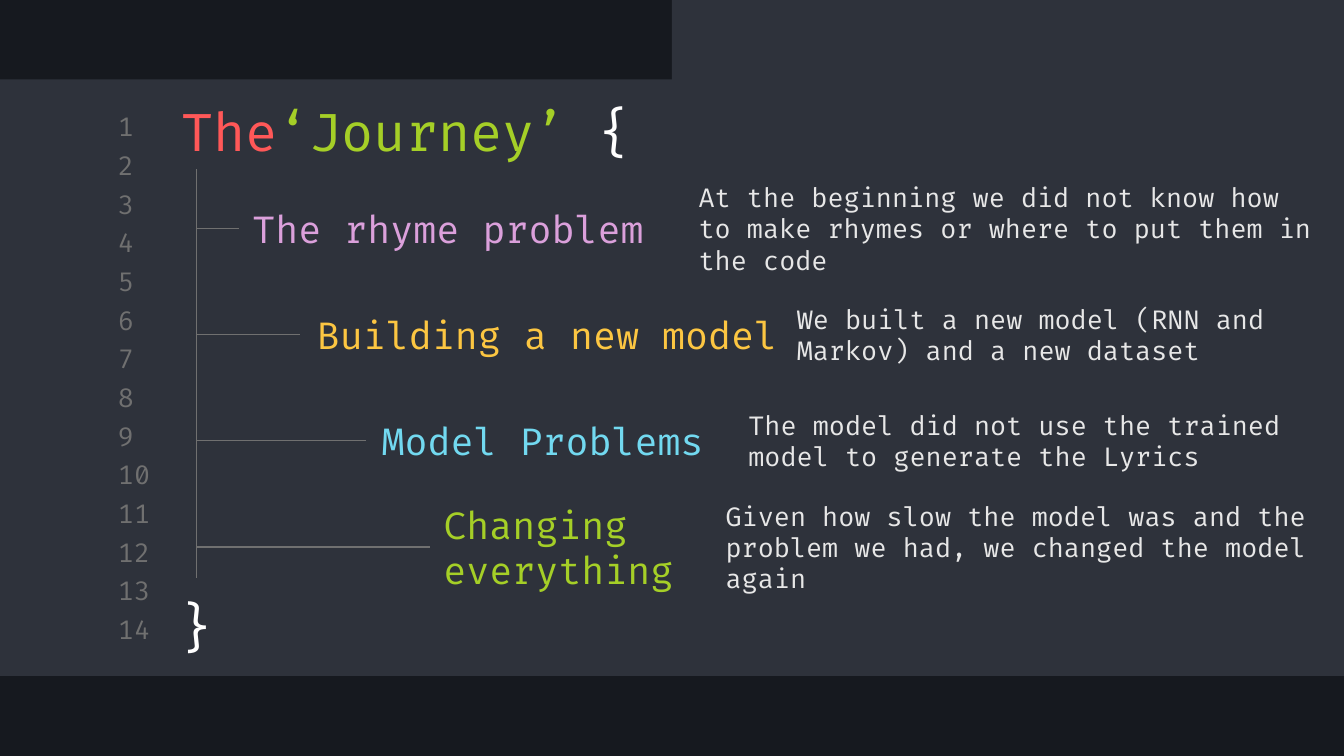
"""Build the 'Journey' code-style timeline slide."""
from lxml import etree
from pptx import Presentation
from pptx.dml.color import RGBColor
from pptx.enum import shapes, text as txt
from pptx.oxml import ns
from pptx.util import Inches, Pt

FONT = "Fira Code"
DARK, PANEL, GREY, PALE, WHITE = "16191F", "2E323B", "707070", "E7E7E7", "FFFFFF"
RED, GREEN, PINK, YELLOW, BLUE = "FF5858", "A5CF27", "DBA0DB", "FCC642", "72D9F0"

PANELS = [(0, 0.59, 10, 4.44), (5, 0, 5, 0.65)]
TITLE = [("The", RED), ("‘Journey’ ", GREEN), ("{", WHITE)]
STEPS = [
    ("The rhyme problem", PINK, 1.78, 3.64, 1.78,
     "At the beginning we did not know how to make rhymes or where to put them in the code", 5.1, 4.85),
    ("Building a new model", YELLOW, 2.26, 3.96, 2.23,
     "We built a new model (RNN and Markov) and a new dataset", 5.83, 4.35),
    ("Model Problems", BLUE, 2.74, 2.91, 2.72,
     "The model did not use the trained model to generate the Lyrics", 5.47, 4.35),
    ("Changing everything", GREEN, 3.2, 2.51, 3.2,
     "Given how slow the model was and the problem we had, we changed the model again", 5.3, 4.52),
]
LINE_COUNT, FIRST_LINE_TOP, LAST_LINE_TOP = 14, 0.82, 4.56
STEP_TOP, STEP_PITCH, STEP_HEIGHT = 1.38, 0.79, 0.64
TRUNK_X, TRUNK_TOP, TRUNK_BOTTOM = 1.46, 1.26, 4.3

deck = Presentation()
deck.slide_width, deck.slide_height = Inches(10), Inches(10 * 9 / 16)
slide = deck.slides.add_slide(deck.slide_layouts[6])


def rgb(color):
    return RGBColor.from_string(color)


def add_text(content, x, y, w, h, size=14, color=PALE, middle=True, align=txt.PP_ALIGN.LEFT):
    """Add a text box from a string or a list of (string, colour) runs."""
    frame = slide.shapes.add_textbox(*map(Inches, (x, y, w, h))).text_frame
    frame.word_wrap = True
    frame.margin_left = frame.margin_right = frame.margin_top = frame.margin_bottom = Inches(0.1)
    frame.vertical_anchor = txt.MSO_ANCHOR.MIDDLE if middle else txt.MSO_ANCHOR.TOP
    paragraph = frame.paragraphs[0]
    paragraph.alignment = align
    for words, tint in [(content, color)] if isinstance(content, str) else content:
        run = paragraph.add_run()
        run.text = words
        run.font.name, run.font.size = FONT, Pt(size)
        run.font.color.rgb = rgb(tint)


def add_line(x1, y1, x2, y2):
    """Add a thin grey straight line."""
    line = slide.shapes.add_connector(shapes.MSO_CONNECTOR.STRAIGHT, *map(Inches, (x1, y1, x2, y2)))
    line.line.color.rgb = rgb(GREY)
    line.line.width = Pt(0.75)
    etree.SubElement(line._element.spPr, ns.qn("a:effectLst"))


slide.background.fill.solid()
slide.background.fill.fore_color.rgb = rgb(DARK)

for box in PANELS:
    panel = slide.shapes.add_shape(shapes.MSO_SHAPE.RECTANGLE, *map(Inches, box))
    panel.shadow.inherit = False
    panel.fill.solid()
    panel.fill.fore_color.rgb = rgb(PANEL)
    panel.line.fill.background()

line_pitch = (LAST_LINE_TOP - FIRST_LINE_TOP) / (LINE_COUNT - 1)
for index in range(LINE_COUNT):
    add_text(str(index + 1), 0.78, FIRST_LINE_TOP + index * line_pitch, 0.47, 0.24, color=GREY)

add_text(TITLE, 1.25, 0.64, 7.97, 0.59, size=28, middle=False)
add_text("}", 1.19, 4.32, 0.55, 0.67, size=28, color=WHITE, middle=False, align=txt.PP_ALIGN.CENTER)

for index, (heading, color, x, width, _, detail, detail_x, detail_width) in enumerate(STEPS):
    top = STEP_TOP + index * STEP_PITCH
    add_text(heading, x, top, width, STEP_HEIGHT, size=20, color=color)
    add_text(detail, detail_x, top, detail_width, STEP_HEIGHT)

add_line(TRUNK_X, TRUNK_TOP, TRUNK_X, TRUNK_BOTTOM)
for index, step in enumerate(STEPS):
    branch_y = STEP_TOP + index * STEP_PITCH + STEP_HEIGHT / 2
    add_line(TRUNK_X, branch_y, step[4], branch_y)

deck.save("out.pptx")
